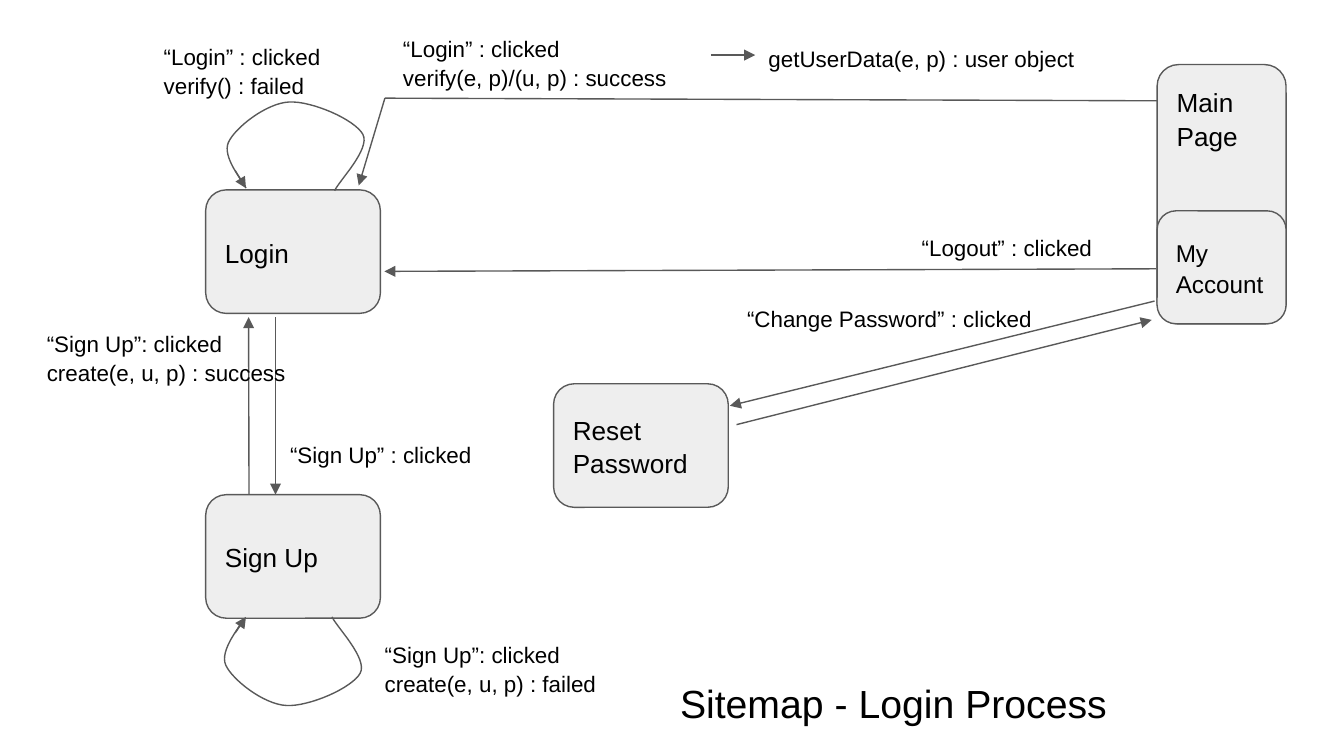
"""Builds the sitemap slide that shows the login process."""
from lxml.etree import SubElement
from pptx import Presentation
from pptx.dml.color import RGBColor
from pptx.enum.shapes import MSO_CONNECTOR as Connector, MSO_SHAPE as Shape
from pptx.enum.text import MSO_ANCHOR as Anchor, MSO_AUTO_SIZE as AutoSize, PP_ALIGN as Align
from pptx.oxml.ns import qn
from pptx.util import Pt

BLACK = RGBColor(0x00, 0x00, 0x00)
WHITE = RGBColor(0xFF, 0xFF, 0xFF)
LIGHT_GREY = RGBColor(0xEE, 0xEE, 0xEE)
DARK_GREY = RGBColor(0x59, 0x59, 0x59)

LOOP_START = (179.3, 102.2)
LOOP_CURVES = [
    ((181.4, 97.2), (198.7, 79.9), (194.4, 72)),
    ((190.1, 64.1), (167, 54), (154.8, 54.7)),
    ((142.6, 55.4), (126, 68.4), (122.4, 76.3)),
    ((118.8, 84.2), (130.3, 97.2), (131.8, 100.8)),
]
STEPS = 16


def bezier_point(controls, t):
    weights = ((1 - t) ** 3, 3 * t * (1 - t) ** 2, 3 * t ** 2 * (1 - t), t ** 3)
    return tuple(sum(w * c[axis] for w, c in zip(weights, controls)) for axis in (0, 1))


def loop_points():
    points = [LOOP_START]
    for curve in LOOP_CURVES:
        controls = (points[-1], *curve)
        points += [bezier_point(controls, step / STEPS) for step in range(1, STEPS + 1)]
    return points


class DiagramSlide:
    font = "Arial"
    line_width = Pt(0.75)
    inset = Pt(7.2)
    line_spacing = 1.07

    def __init__(self, presentation):
        self.slide = presentation.slides.add_slide(presentation.slide_layouts[5])
        self.slide.background.fill.solid()
        self.slide.background.fill.fore_color.rgb = WHITE

    def add_text(self, shape, lines, size, anchor=Anchor.TOP):
        frame = shape.text_frame
        frame.word_wrap = True
        frame.auto_size = AutoSize.NONE
        frame.vertical_anchor = anchor
        frame.margin_left = frame.margin_right = self.inset
        frame.margin_top = frame.margin_bottom = self.inset
        for index, line in enumerate(lines):
            paragraph = frame.add_paragraph() if index else frame.paragraphs[0]
            paragraph.alignment = Align.LEFT
            paragraph.line_spacing = self.line_spacing
            run = paragraph.add_run()
            run.text = line
            run.font.name = self.font
            run.font.size = Pt(size)
            run.font.color.rgb = BLACK

    def outline(self, shape):
        shape.line.color.rgb = DARK_GREY
        shape.line.width = self.line_width

    def title(self, text, left, top, width, height):
        shape = self.slide.shapes.title
        shape.left, shape.top = Pt(left), Pt(top)
        shape.width, shape.height = Pt(width), Pt(height)
        self.add_text(shape, [text], 21)

    def page(self, text, left, top, width=93.6, height=66.2, size=14, anchor=Anchor.MIDDLE):
        shape = self.slide.shapes.add_shape(
            Shape.ROUNDED_RECTANGLE, Pt(left), Pt(top), Pt(width), Pt(height))
        shape.shadow.inherit = False
        shape.fill.solid()
        shape.fill.fore_color.rgb = LIGHT_GREY
        self.outline(shape)
        self.add_text(shape, [text], size, anchor)

    def label(self, lines, left, top, width, height=43.2):
        box = self.slide.shapes.add_textbox(Pt(left), Pt(top), Pt(width), Pt(height))
        self.add_text(box, lines, 12)

    def line(self, start, end, arrow=True):
        connector = self.slide.shapes.add_connector(
            Connector.STRAIGHT, *(Pt(value) for value in (*start, *end)))
        self.outline(connector)
        properties = connector._element.spPr
        if arrow:
            SubElement(properties.find(qn("a:ln")), qn("a:tailEnd"), type="triangle")
        SubElement(properties, qn("a:effectLst"))

    def loop(self, points, arrow_start, arrow_end):
        start, *rest = [(Pt(x), Pt(y)) for x, y in points]
        builder = self.slide.shapes.build_freeform(*start, scale=1.0)
        builder.add_line_segments(rest, close=False)
        shape = builder.convert_to_shape()
        shape.shadow.inherit = False
        shape.fill.background()
        self.outline(shape)
        self.line(arrow_start, arrow_end)


def main():
    presentation = Presentation()
    presentation.slide_width, presentation.slide_height = Pt(720), Pt(405)
    diagram = DiagramSlide(presentation)
    diagram.title("Sitemap - Login Process", 357.1, 355, 244.8, 43.2)

    diagram.page("Login", 110.2, 101.7)
    diagram.page("Sign Up", 110.2, 265)
    diagram.page("Reset Password", 296.6, 205.6)
    diagram.page("Main Page", 619.9, 34.6, 69.1, 139, anchor=Anchor.TOP)
    diagram.page("My Account", 619.9, 113, 69.1, 60.5, size=13)

    upper_loop = loop_points()
    lower_loop = [(x - 1.4, 432.7 - y) for x, y in upper_loop]
    diagram.loop(upper_loop, (126, 91.4), (131.8, 100.8))
    diagram.loop(lower_loop, (126, 339.1), (131.8, 330.5))

    diagram.line((147.6, 169.9), (147.6, 265))
    diagram.line((133.4, 265), (133.2, 169.9))
    diagram.line((380.9, 29.5), (404.6, 29.5))
    diagram.line((619.9, 54), (206.2, 52.6), arrow=False)
    diagram.line((206.2, 52.6), (192.2, 99.4))
    diagram.line((619.2, 144), (205.9, 145.4))
    diagram.line((618.5, 161.3), (391, 217.4))
    diagram.line((394.6, 227.5), (617, 171.4))

    diagram.label(["“Login” : clicked", "verify() : failed"], 80.6, 15.1, 154.8, 35.3)
    diagram.label(["“Login” : clicked", "verify(e, p)/(u, p) : success"], 208.8, 10.8, 198)
    diagram.label(["getUserData(e, p) : user object"], 404.6, 15.8, 181.4, 28.1)
    diagram.label(["“Logout” : clicked"], 486.7, 117.4, 113, 35.3)
    diagram.label(["“Change Password” : clicked"], 393.1, 155.5, 183.6, 28.1)
    diagram.label(["“Sign Up”: clicked", "create(e, u, p) : success"], 18, 168.8, 150.5)
    diagram.label(["“Sign Up” : clicked"], 148.3, 228.2, 134.6, 31.7)
    diagram.label(["“Sign Up”: clicked", "create(e, u, p) : failed"], 199, 335.5, 150.5)

    presentation.save("out.pptx")


if __name__ == "__main__":
    main()
